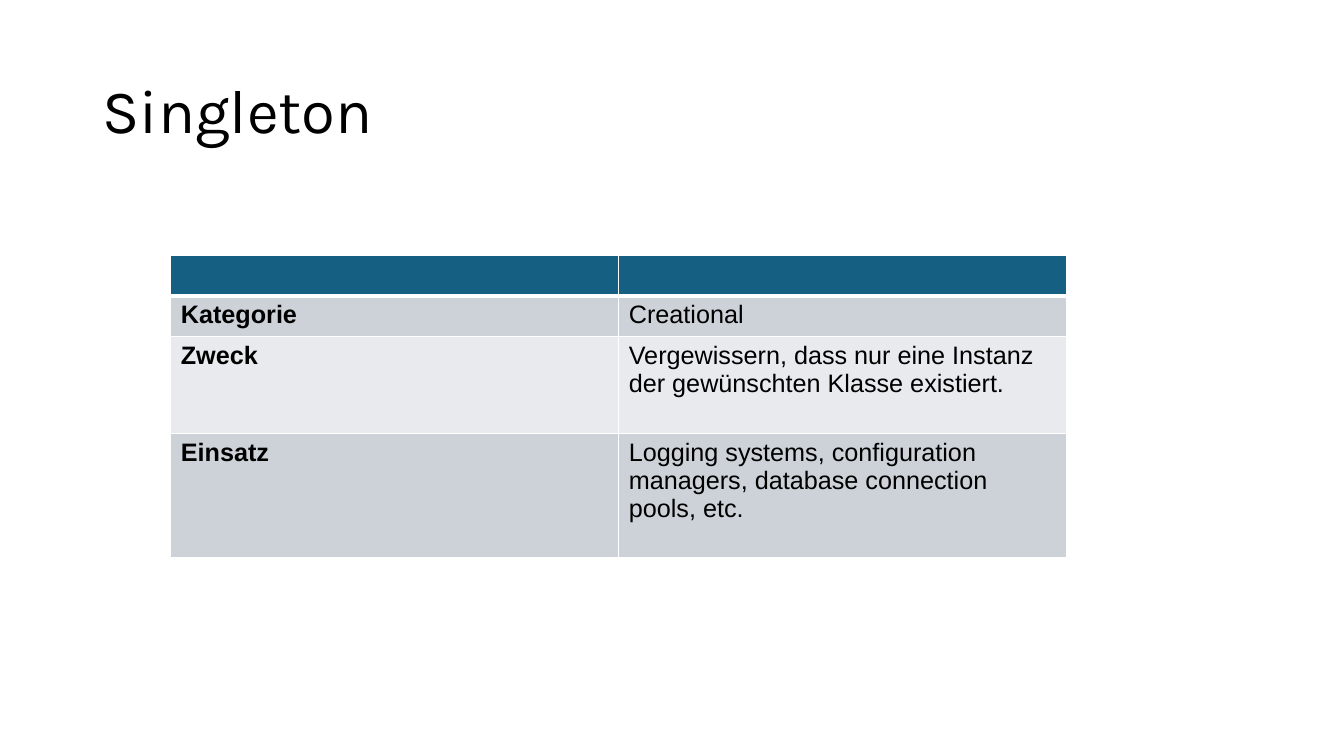
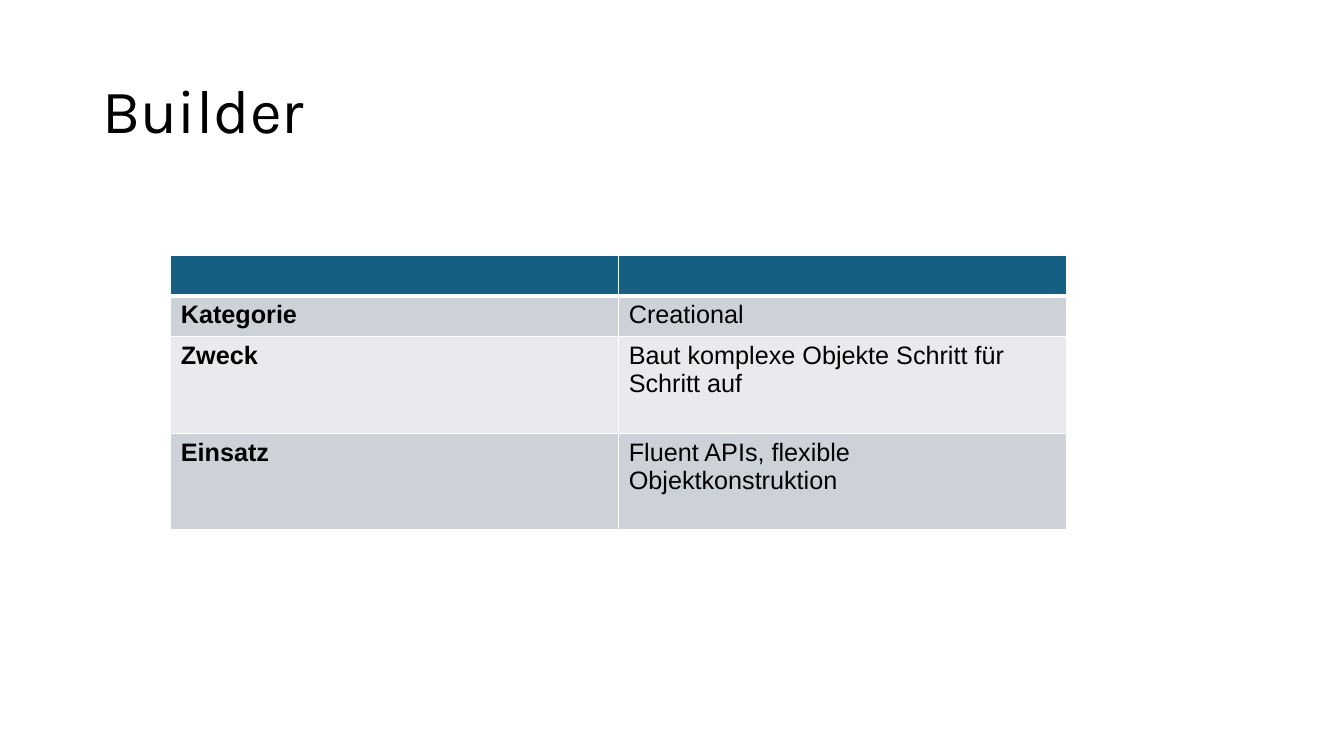
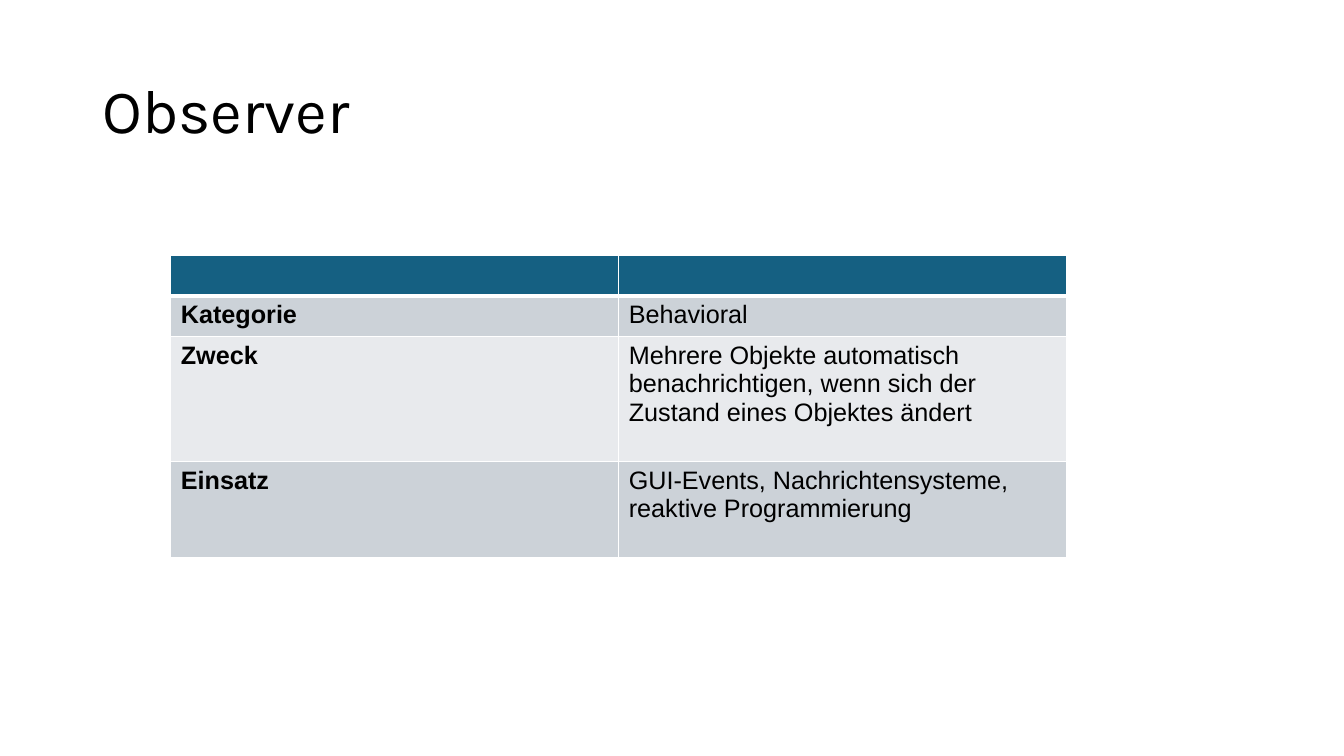
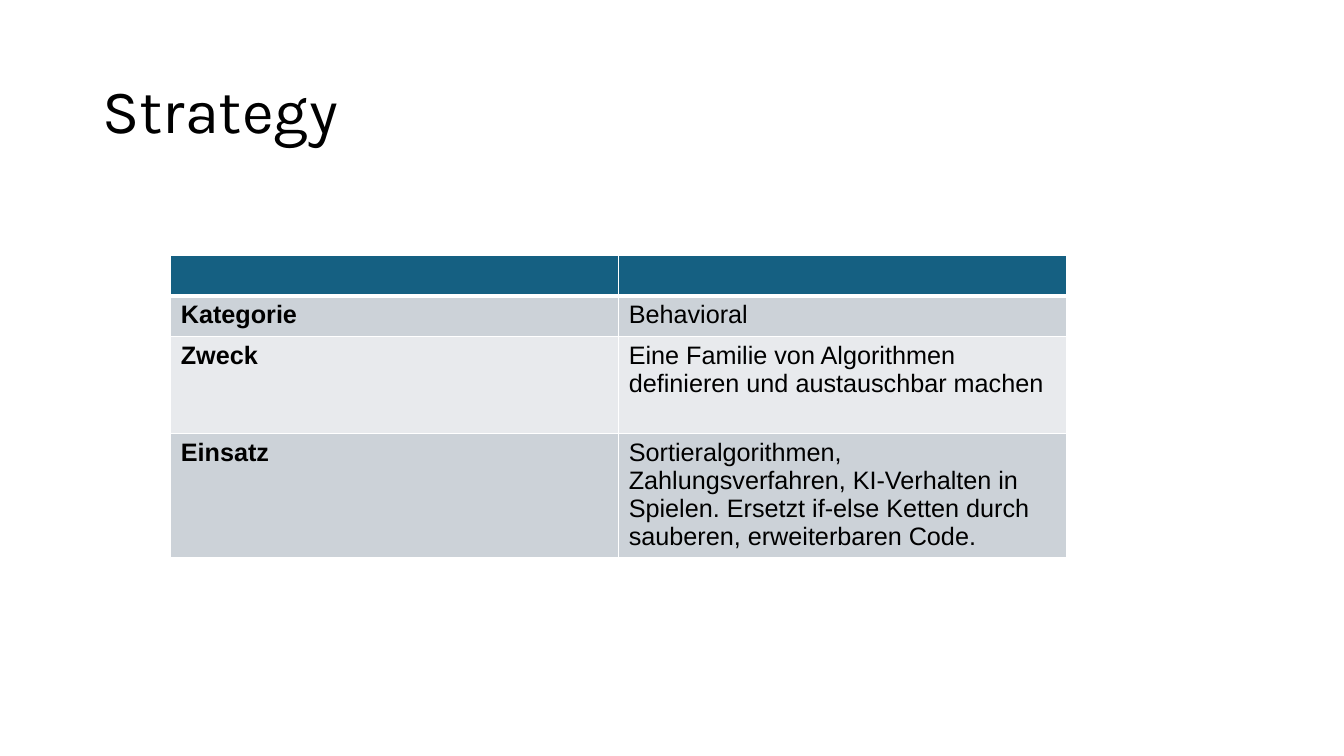
from lxml.etree import SubElement
from pptx import Presentation
from pptx.dml.color import RGBColor
from pptx.enum.text import MSO_ANCHOR, PP_ALIGN
from pptx.oxml.ns import qn
from pptx.util import Pt

# Shared style
BLACK, WHITE = "000000", "FFFFFF"
HEADER_FILL, BAND_FILLS = "156082", ("CCD2D8", "E8EAED")
TITLE_FONT, TABLE_FONT = "Karla", "Arial"
TITLE_ONLY_LAYOUT = 5
COLUMN_WIDTH = 320
LINE_HEIGHT, ROW_PADDING = 20, 9

# Row labels, and per pattern: title, then text and line count of each row
LABELS = ("Kategorie", "Zweck", "Einsatz")
PATTERNS = [
    ("Singleton", [
        ("Creational", 1),
        ("Vergewissern, dass nur eine Instanz der gewünschten Klasse existiert.", 3),
        ("Logging systems, configuration managers, database connection pools, etc.", 4)]),
    ("Builder", [
        ("Creational", 1),
        ("Baut komplexe Objekte Schritt für Schritt auf", 3),
        ("Fluent APIs, flexible Objektkonstruktion", 3)]),
    ("Observer", [
        ("Behavioral", 1),
        ("Mehrere Objekte automatisch benachrichtigen, wenn sich der Zustand "
         "eines Objektes ändert", 4),
        ("GUI-Events, Nachrichtensysteme, reaktive Programmierung", 3)]),
    ("Strategy", [
        ("Behavioral", 1),
        ("Eine Familie von Algorithmen definieren und austauschbar machen", 3),
        ("Sortieralgorithmen, Zahlungsverfahren, KI-Verhalten in Spielen. "
         "Ersetzt if-else Ketten durch sauberen, erweiterbaren Code.", 4)]),
]


def color(hex_string):
    return RGBColor.from_string(hex_string)


def format_font(paragraph, name, size, bold=False):
    font = paragraph.font
    font.name, font.size, font.bold = name, Pt(size), bold
    font.color.rgb = color(BLACK)


def add_title(slide, text):
    title = slide.shapes.title
    title.left, title.top, title.width, title.height = Pt(66), Pt(28.75), Pt(828), Pt(104.4)
    title.text_frame.text = text
    title.text_frame.vertical_anchor = MSO_ANCHOR.MIDDLE
    paragraph = title.text_frame.paragraphs[0]
    paragraph.alignment = PP_ALIGN.LEFT
    paragraph.line_spacing = 0.9
    format_font(paragraph, TITLE_FONT, 44)


def set_borders(cell, top, bottom):
    properties = cell._tc.get_or_add_tcPr()
    for side, width in (("L", 1), ("R", 1), ("T", top), ("B", bottom)):
        line = SubElement(properties, qn(f"a:ln{side}"), w=str(Pt(width)))
        fill = SubElement(line, qn("a:solidFill"))
        SubElement(fill, qn("a:srgbClr"), val=WHITE)


def format_cell(cell, fill, text="", bold=False, top=1, bottom=1):
    set_borders(cell, top, bottom)
    cell.fill.solid()
    cell.fill.fore_color.rgb = color(fill)
    if text:
        cell.text = text
    format_font(cell.text_frame.paragraphs[0], TABLE_FONT, 18, bold)


def add_pattern_table(slide, entries):
    heights = [ROW_PADDING + LINE_HEIGHT * lines for lines in [1] + [n for _, n in entries]]
    table = slide.shapes.add_table(len(heights), 2, Pt(122), Pt(182.5),
                                   Pt(2 * COLUMN_WIDTH), Pt(sum(heights))).table
    table.horz_banding = False
    for column in table.columns:
        column.width = Pt(COLUMN_WIDTH)
    for row, height in zip(table.rows, heights):
        row.height = Pt(height)

    # Empty header with a heavy rule below, then banded rows
    for cell in table.rows[0].cells:
        format_cell(cell, HEADER_FILL, bottom=3)
    for index, (label, (text, _)) in enumerate(zip(LABELS, entries)):
        fill = BAND_FILLS[index % 2]
        top = 3 if index == 0 else 1
        format_cell(table.cell(index + 1, 0), fill, label, bold=True, top=top)
        format_cell(table.cell(index + 1, 1), fill, text, top=top)


def main():
    presentation = Presentation()
    presentation.slide_width, presentation.slide_height = Pt(960), Pt(540)
    for title, entries in PATTERNS:
        slide = presentation.slides.add_slide(presentation.slide_layouts[TITLE_ONLY_LAYOUT])
        add_title(slide, title)
        add_pattern_table(slide, entries)
    presentation.save("out.pptx")


if __name__ == "__main__":
    main()
